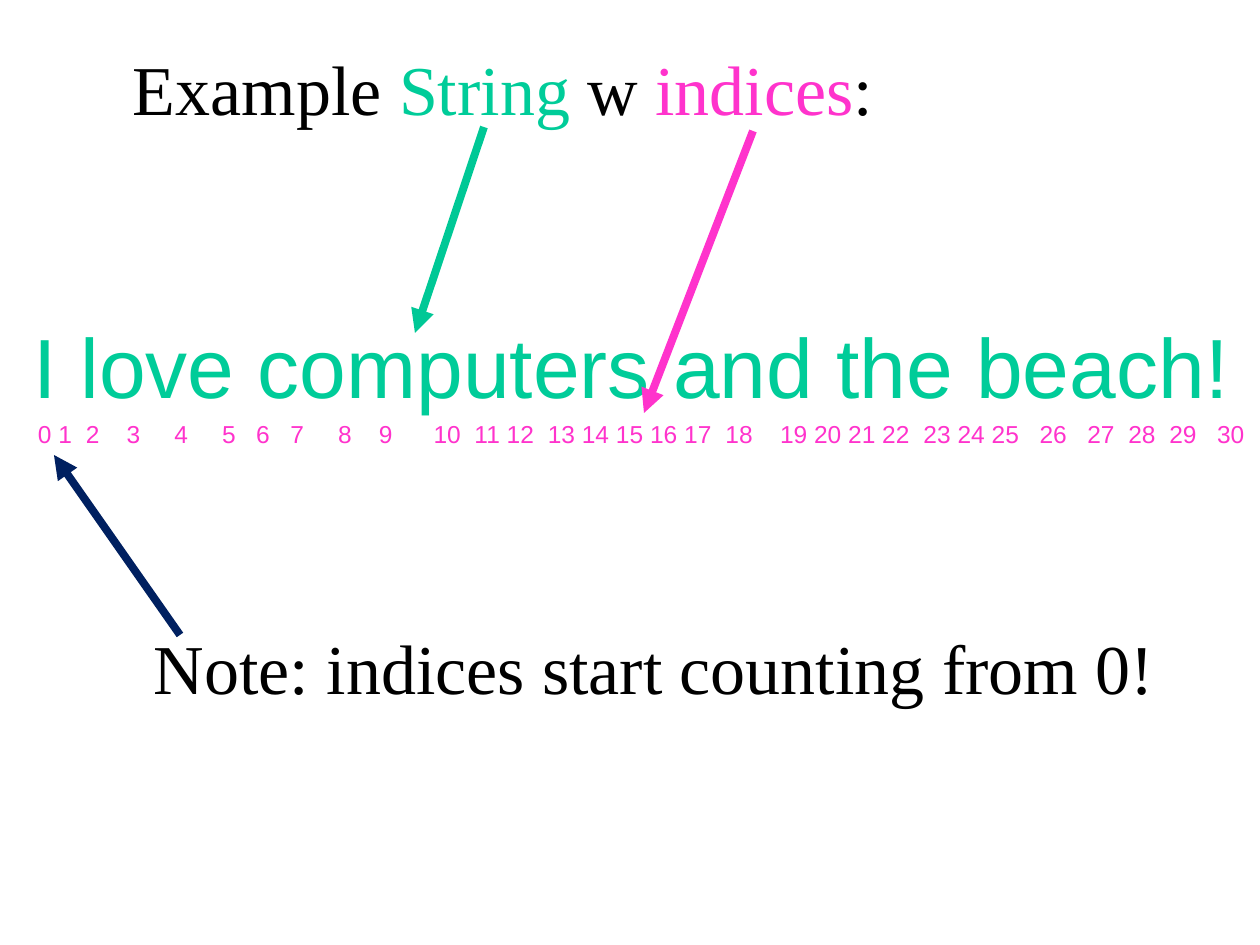
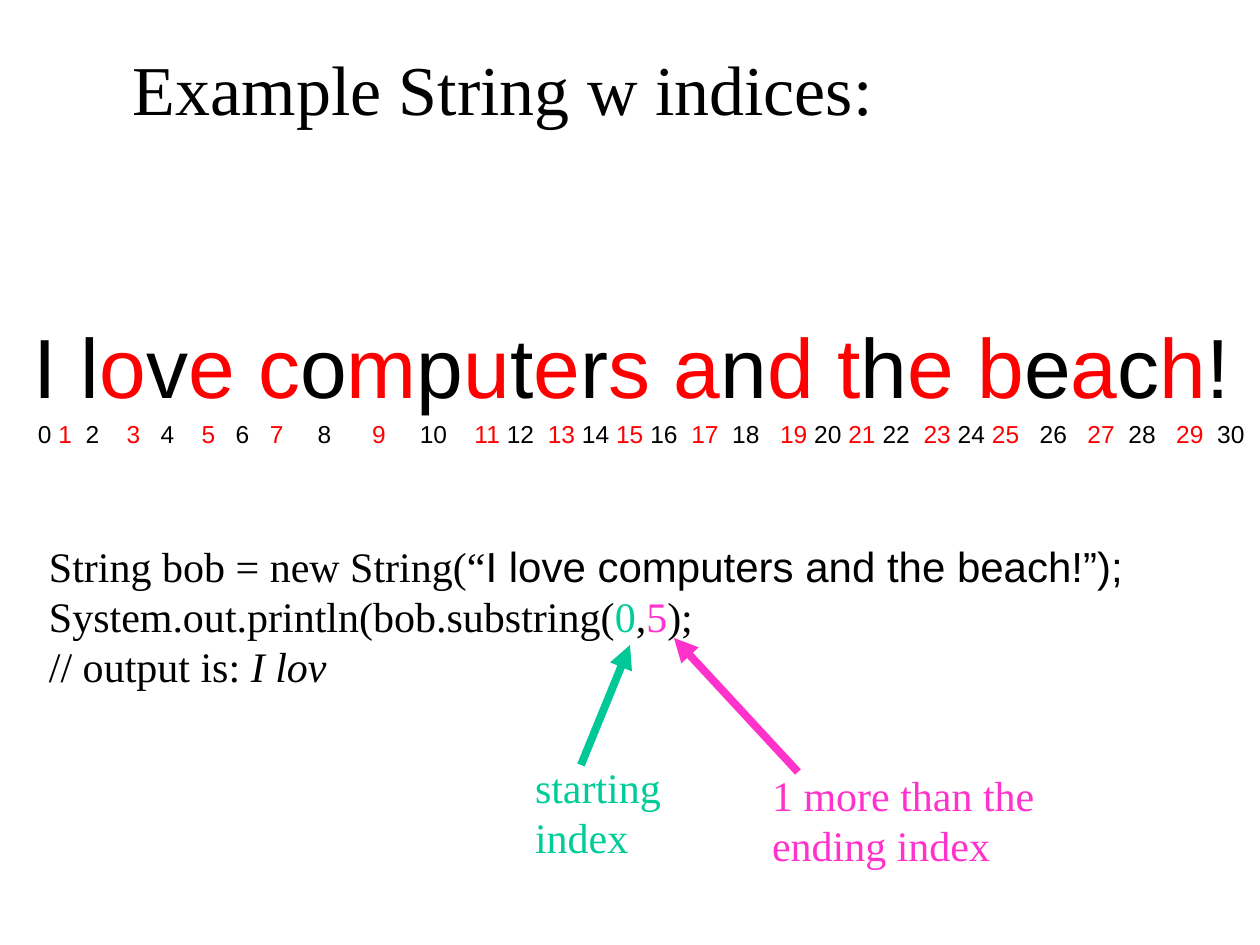
"""Build two slides that explain string indices and substring."""
import dataclasses
import itertools

import lxml.etree
import pptx
import pptx.dml.color
import pptx.enum.shapes
import pptx.enum.text
import pptx.oxml.ns
import pptx.util

PIXEL = pptx.util.Inches(1) / 126
COLORS = {
    "black": "000000",
    "green": "00CC99",
    "arrow_green": "00C896",
    "pink": "FF33CC",
    "navy": "002060",
    "red": "FF0000",
}
SERIF, SANS = "Times New Roman", "Arial"
TITLE_ONLY = 5

SENTENCE = "I love computers and the beach!"
INDEX_SIZE = 14
SPACE_WIDTH = 0.278 * INDEX_SIZE
# Gap between each index and the next one, in widths of a space
EVEN_GAPS = [1, 2, 4, 5, 5, 3, 3, 5, 4, 6, 2, 1, 2, 1, 1,
             1, 1, 2, 4, 1, 1, 1, 2, 1, 1, 3, 3, 2, 2, 3]
STRIPED_GAPS = [1, 2, 4, 3, 4, 3, 3, 5, 6, 5, 4, 1, 2, 1, 1,
                1, 2, 2, 3, 1, 1, 1, 2, 1, 1, 3, 3, 2, 3, 2]


@dataclasses.dataclass
class Run:
    """A piece of text in one format; tracking is in points."""
    text: str
    color: str = "black"
    font: str = SERIF
    italic: bool = False
    tracking: float = 0


@dataclasses.dataclass
class Box:
    """Place and spacing of a text, in pixels."""
    left: int
    top: int
    width: int
    height: int
    size: int
    inset: int = 13
    indent: int = 10


@dataclasses.dataclass
class Arrow:
    """An arrow from start to end, in pixels."""
    start: tuple[int, int]
    end: tuple[int, int]
    color: str


TITLE = Box(110, 33, 1012, 118, 40)
SENTENCE_BOX = Box(21, 309, 1239, 115, 48, inset=6, indent=0)
INDEX_BOX = Box(25, 413, 1237, 43, INDEX_SIZE, inset=6, indent=0)
NOTE = Box(131, 612, 1082, 118, 40)
CODE = Box(26, 527, 1234, 118, 24)
START_LABEL = Box(512, 748, 180, 118, 24)
END_LABEL = Box(749, 756, 309, 118, 24)


def emu(pixels: float) -> int:
    """Turn pixels into EMU."""
    return round(pixels * PIXEL)


def rgb(name: str) -> pptx.dml.color.RGBColor:
    """Look up a colour by name."""
    return pptx.dml.color.RGBColor.from_string(COLORS[name])


def write_text(shape, box: Box, lines: list[list[Run]]) -> None:
    """Place a shape and fill it with formatted paragraphs."""
    shape.left, shape.top = emu(box.left), emu(box.top)
    shape.width, shape.height = emu(box.width), emu(box.height)
    frame = shape.text_frame
    frame.word_wrap = True
    frame.auto_size = pptx.enum.text.MSO_AUTO_SIZE.NONE
    frame.vertical_anchor = pptx.enum.text.MSO_ANCHOR.TOP
    frame.margin_left = emu(13)
    frame.margin_right = emu(box.inset)
    frame.margin_top = frame.margin_bottom = emu(box.inset)
    frame.text = "\n".join("" for _ in lines)
    for paragraph, runs in zip(frame.paragraphs, lines):
        paragraph.alignment = pptx.enum.text.PP_ALIGN.LEFT
        properties = paragraph._p.get_or_add_pPr()
        properties.set("marL", str(emu(box.indent)))
        properties.set("indent", "0")
        for item in runs:
            run = paragraph.add_run()
            run.text = item.text
            run.font.name = item.font
            run.font.size = pptx.util.Pt(box.size)
            run.font.italic = item.italic
            run.font.color.rgb = rgb(item.color)
            if item.tracking:
                run._r.get_or_add_rPr().set(
                    "spc", str(round(item.tracking * 100)))


def add_text(slide, box: Box, lines: list[list[Run]]) -> None:
    """Add a text box."""
    write_text(slide.shapes.add_textbox(0, 0, 0, 0), box, lines)


def add_arrow(slide, arrow: Arrow) -> None:
    """Add a thick straight arrow."""
    connector = slide.shapes.add_connector(
        pptx.enum.shapes.MSO_CONNECTOR.STRAIGHT,
        *map(emu, arrow.start + arrow.end))
    connector.line.color.rgb = rgb(arrow.color)
    connector.line.width = pptx.util.Pt(4.5)
    qualified = pptx.oxml.ns.qn
    lxml.etree.SubElement(connector.line._get_or_add_ln(),
                          qualified("a:tailEnd"), type="triangle")
    lxml.etree.SubElement(connector._element.spPr,
                          qualified("a:effectLst"))


def sentence_runs(colors: list[str]) -> list[Run]:
    """Colour letters by index parity; a space joins the letter before it."""
    colored = []
    for index, letter in enumerate(SENTENCE):
        color = colored[-1][1] if letter == " " else colors[index % 2]
        colored.append((letter, color))
    return [Run("".join(letter for letter, _ in group), color, SANS)
            for color, group in itertools.groupby(colored, lambda pair: pair[1])]


def index_runs(gaps: list[int], colors: list[str]) -> list[Run]:
    """Number the letters, with one widened space after each index."""
    runs = []
    for index, gap in enumerate(gaps):
        color = colors[index % 2]
        runs.append(Run(str(index), color, SANS))
        runs.append(Run(" ", color, SANS, tracking=(gap - 1) * SPACE_WIDTH))
    runs.append(Run(str(len(gaps)), colors[len(gaps) % 2], SANS))
    return runs


def add_string_slide(presentation, title: list[Run], gaps: list[int],
                     letter_colors: list[str], index_colors: list[str]):
    """Add a slide with the title, the sentence and its indices."""
    slide = presentation.slides.add_slide(
        presentation.slide_layouts[TITLE_ONLY])
    write_text(slide.shapes.title, TITLE, [title])
    add_text(slide, SENTENCE_BOX, [sentence_runs(letter_colors)])
    add_text(slide, INDEX_BOX, [index_runs(gaps, index_colors)])
    return slide


def build_index_slide(presentation) -> None:
    """Show the string and where its indices start."""
    title = [Run("Example "), Run("String", "green"), Run(" w "),
             Run("indices", "pink"), Run(":")]
    slide = add_string_slide(presentation, title, EVEN_GAPS,
                             ["green", "green"], ["pink", "pink"])
    add_text(slide, NOTE, [[Run("Note: indices start counting from 0!")]])
    for arrow in (Arrow((484, 127), (415, 333), "arrow_green"),
                  Arrow((753, 131), (644, 413), "pink"),
                  Arrow((180, 635), (54, 455), "navy")):
        add_arrow(slide, arrow)


def build_substring_slide(presentation) -> None:
    """Show a substring call and the meaning of its arguments."""
    stripes = ["black", "red"]
    slide = add_string_slide(presentation, [Run("Example String w indices:")],
                             STRIPED_GAPS, stripes, stripes)
    add_text(slide, CODE, [
        [Run("String bob = new String(“"), Run(f"{SENTENCE}”);", font=SANS)],
        [Run("System.out.println(bob.substring("), Run("0", "green"),
         Run(","), Run("5", "pink"), Run(");")],
        [Run("// output is: "), Run("I lov", italic=True)],
    ])
    add_text(slide, START_LABEL,
             [[Run("starting ", "green")], [Run("index", "green")]])
    add_text(slide, END_LABEL, [[Run("1 more than the ending index", "pink")]])
    add_arrow(slide, Arrow((581, 765), (630, 645), "arrow_green"))
    add_arrow(slide, Arrow((798, 772), (674, 638), "pink"))


def main() -> None:
    """Build and save the presentation."""
    presentation = pptx.Presentation()
    presentation.slide_width = emu(1260)
    presentation.slide_height = emu(945)
    build_index_slide(presentation)
    build_substring_slide(presentation)
    presentation.save("out.pptx")


main()
